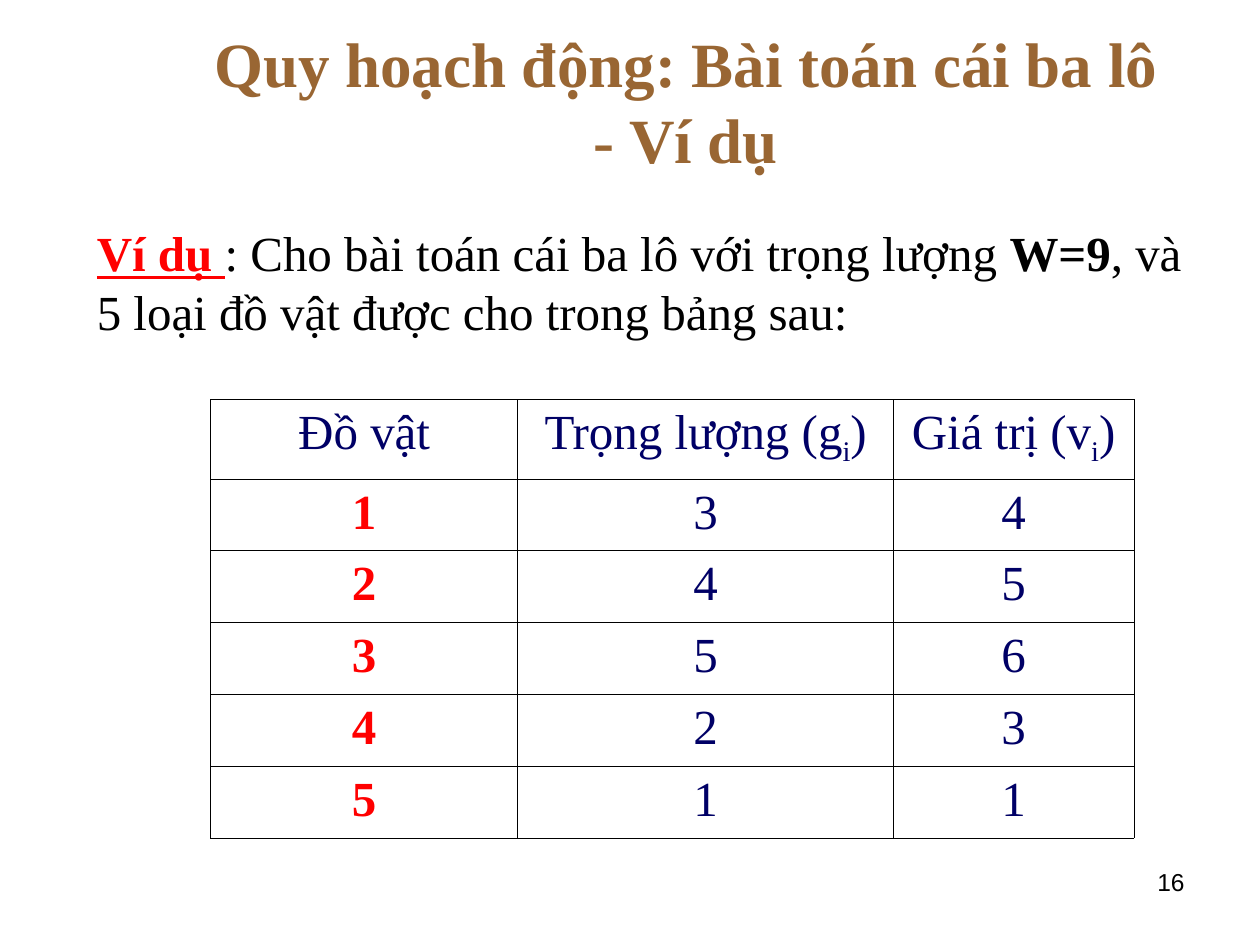
from dataclasses import dataclass

from lxml.etree import SubElement
from pptx import Presentation
from pptx.dml.color import RGBColor
from pptx.enum.text import MSO_ANCHOR, PP_ALIGN
from pptx.oxml.ns import qn
from pptx.util import Inches, Pt


@dataclass(frozen=True)
class Theme:
    heading: str = "996633"
    accent: str = "FF0000"
    ink: str = "000000"
    table_ink: str = "000066"
    serif: str = "Times New Roman"
    sans: str = "Arial"
    title_size: float = 36
    body_size: float = 28
    number_size: float = 14
    border_width: float = 0.45


THEME = Theme()
ACCENT = {"color": THEME.accent, "bold": True}
SUBSCRIPT = {"baseline": -25000}

HEADERS = [
    [("Đồ vật", {})],
    [("Trọng lượng (g", {}), ("i", SUBSCRIPT), (")", {})],
    [("Giá trị (v", {}), ("i", SUBSCRIPT), (")", {})],
]
ITEMS = [(1, 3, 4), (2, 4, 5), (3, 5, 6), (4, 2, 3), (5, 1, 1)]
COLUMN_WIDTHS = [2.44, 2.98, 1.91]
HEADER_HEIGHT = 0.63
ROW_HEIGHT = 0.57


def write_text(paragraph, text, font=THEME.serif, size=THEME.body_size,
               color=THEME.ink, bold=False, underline=False, baseline=None):
    for index, line in enumerate(text.split("\n")):
        if index:
            paragraph.add_line_break()
        run = paragraph.add_run()
        run.text = line
        run.font.name = font
        run.font.size = Pt(size)
        run.font.color.rgb = RGBColor.from_string(color)
        run.font.bold = bold
        run.font.underline = underline
        if baseline is not None:
            run.font._element.set("baseline", str(baseline))


def add_text_box(slide, left, top, width, height, spans,
                 align=PP_ALIGN.LEFT, anchor=MSO_ANCHOR.TOP):
    shape = slide.shapes.add_textbox(
        Inches(left), Inches(top), Inches(width), Inches(height))
    frame = shape.text_frame
    frame.word_wrap = True
    frame.vertical_anchor = anchor
    paragraph = frame.paragraphs[0]
    paragraph.alignment = align
    for text, style in spans:
        write_text(paragraph, text, **style)


def draw_borders(cell):
    properties = cell._tc.get_or_add_tcPr()
    for side in ("a:lnL", "a:lnR", "a:lnT", "a:lnB"):
        line = SubElement(properties, qn(side), w=str(Pt(THEME.border_width)))
        fill = SubElement(line, qn("a:solidFill"))
        SubElement(fill, qn("a:srgbClr"), val=THEME.ink)


def fill_cell(cell, spans):
    draw_borders(cell)
    cell.fill.background()
    paragraph = cell.text_frame.paragraphs[0]
    paragraph.alignment = PP_ALIGN.CENTER
    for text, style in spans:
        write_text(paragraph, text, **{"color": THEME.table_ink, **style})


def add_item_table(slide, left, top):
    rows = [HEADERS] + [
        [[(str(value), {} if column else ACCENT)]
         for column, value in enumerate(item)]
        for item in ITEMS
    ]
    height = HEADER_HEIGHT + ROW_HEIGHT * len(ITEMS)
    table = slide.shapes.add_table(
        len(rows), len(COLUMN_WIDTHS), Inches(left), Inches(top),
        Inches(sum(COLUMN_WIDTHS)), Inches(height)).table
    table.first_row = False
    table.horz_banding = False
    for column, width in zip(table.columns, COLUMN_WIDTHS):
        column.width = Inches(width)
    for index, (row, contents) in enumerate(zip(table.rows, rows)):
        row.height = Inches(ROW_HEIGHT if index else HEADER_HEIGHT)
        for cell, spans in zip(row.cells, contents):
            fill_cell(cell, spans)


def main():
    presentation = Presentation()
    presentation.slide_width = Inches(10)
    presentation.slide_height = Inches(7.5)
    slide = presentation.slides.add_slide(presentation.slide_layouts[6])

    title_style = {"size": THEME.title_size, "color": THEME.heading, "bold": True}
    add_text_box(
        slide, 1.38, 0.17, 8.25, 1.25,
        [("Quy hoạch động: Bài toán cái ba lô \n- Ví dụ ", title_style)],
        align=PP_ALIGN.CENTER, anchor=MSO_ANCHOR.MIDDLE)
    add_text_box(slide, 0.67, 1.72, 9, 1.5, [
        ("Ví dụ ", {**ACCENT, "underline": True}),
        (": Cho bài toán cái ba lô với trọng lượng ", {}),
        ("W=9", {"bold": True}),
        (", và 5 loại đồ vật được cho trong bảng sau:", {}),
    ])
    add_item_table(slide, 1.67, 3.17)
    add_text_box(
        slide, 7.17, 6.83, 2.33, 0.52,
        [("16", {"font": THEME.sans, "size": THEME.number_size})],
        align=PP_ALIGN.RIGHT)

    presentation.save("out.pptx")


if __name__ == "__main__":
    main()
